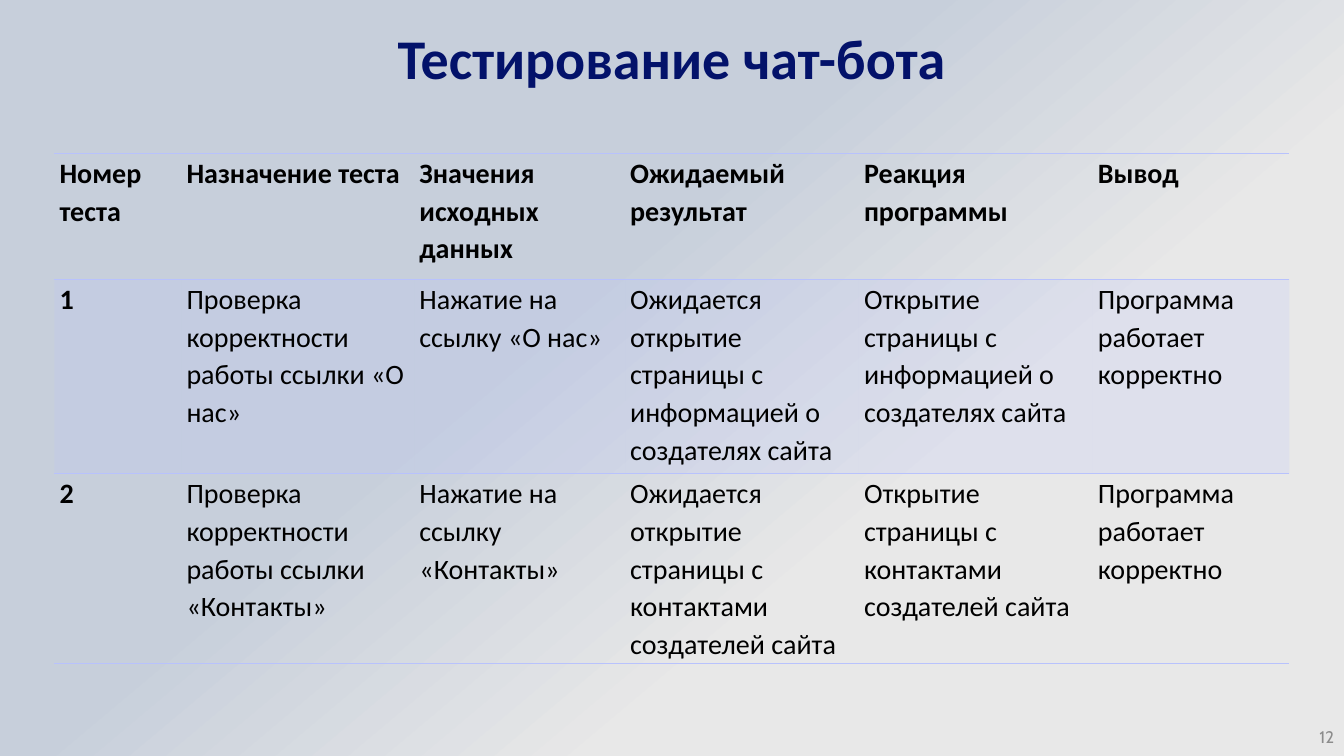
import pptx
import pptx.dml.color
import pptx.enum.text
import pptx.oxml.ns
import pptx.util
from dataclasses import dataclass
from lxml import etree

Inches, Pt = pptx.util.Inches, pptx.util.Pt
ALIGN = pptx.enum.text.PP_ALIGN
ANCHOR = pptx.enum.text.MSO_ANCHOR
qn = pptx.oxml.ns.qn


@dataclass
class Theme:
    text: str = "Calibri"
    small: str = "Cabin"
    navy: str = "03126A"
    black: str = "000000"
    gray: str = "8C8C8C"
    line: str = "B8C2FD"
    light: str = "E8E8E8"
    blue: str = "C7CFDB"
    title: int = 40
    body: int = 20
    note: int = 12


theme = Theme()


def style(para, face, size, color, bold=False):
    font = para.font
    font.name, font.size, font.bold = face, Pt(size), bold
    font.color.rgb = pptx.dml.color.RGBColor.from_string(color)


def border(cell, side):
    """Draw a 1 pt line on one side of a cell: "T" or "B"."""
    edge = etree.SubElement(cell._tc.get_or_add_tcPr(), qn("a:ln" + side), w="12700")
    fill = etree.SubElement(edge, qn("a:solidFill"))
    etree.SubElement(fill, qn("a:srgbClr"), val=theme.line)


deck = pptx.Presentation()
deck.slide_width, deck.slide_height = Inches(13.33), Inches(7.5)
slide = deck.slides.add_slide(deck.slide_layouts[5])

# Background
back = slide.background.fill
back.gradient()
back.gradient_angle = 130
stops = [(0.33, theme.light), (0.59, theme.blue)]
for stop, (place, color) in zip(back.gradient_stops, stops):
    stop.position = place
    stop.color.rgb = pptx.dml.color.RGBColor.from_string(color)

# Title
title = slide.shapes.title
title.left, title.top = Inches(0.67), Inches(0.28)
title.width, title.height = Inches(11.98), Inches(0.68)
frame = title.text_frame
frame.text = "Тестирование чат-бота"
frame.vertical_anchor = ANCHOR.BOTTOM
para = frame.paragraphs[0]
para.alignment, para.line_spacing = ALIGN.CENTER, 0.9
style(para, theme.text, theme.title, theme.navy, True)

# Page number
page = slide.shapes.add_textbox(Inches(10.33), Inches(7.18), Inches(3), Inches(0.25))
frame = page.text_frame
frame.text = "12"
frame.word_wrap = True
frame.vertical_anchor = ANCHOR.MIDDLE
para = frame.paragraphs[0]
para.alignment = ALIGN.RIGHT
style(para, theme.small, theme.note, theme.gray)

# Test table
tests = [
    ["Номер теста", "Назначение теста", "Значения исходных данных",
     "Ожидаемый результат", "Реакция программы", "Вывод"],
    ["1", "Проверка корректности работы ссылки «О нас»",
     "Нажатие на ссылку «О нас»",
     "Ожидается открытие страницы с информацией о создателях сайта",
     "Открытие страницы с информацией о создателях сайта",
     "Программа работает корректно"],
    ["2", "Проверка корректности работы ссылки «Контакты»",
     "Нажатие на ссылку «Контакты»",
     "Ожидается открытие страницы с контактами создателей сайта",
     "Открытие страницы с контактами создателей сайта",
     "Программа работает корректно"],
]
widths = [1.26, 2.31, 2.09, 2.32, 2.32, 1.95]
heights = [1.25, 1.93, 1.88]
table = slide.shapes.add_table(len(heights), len(widths), Inches(0.54), Inches(1.52),
                               Inches(12.24), Inches(5.05)).table
table.first_row = table.horz_banding = False
# Built-in style "No Style, No Grid"
table._tbl.tblPr.find(qn("a:tableStyleId")).text = "{2D5ABB26-0587-4C30-8999-92F81FD0307C}"
for col, width in zip(table.columns, widths):
    col.width = Inches(width)
for row, height in zip(table.rows, heights):
    row.height = Inches(height)

for r, test in enumerate(tests):
    for c, text in enumerate(test):
        cell = table.cell(r, c)
        cell.text = text
        cell.margin_left = cell.margin_right = Inches(0.05)
        cell.margin_top = cell.margin_bottom = 0
        para = cell.text_frame.paragraphs[0]
        para.line_spacing = 1.1
        style(para, theme.text, theme.body, theme.black, r == 0 or c == 0)
        sides = ["TB", "T", "B"][r]
        for side in sides:
            border(cell, side)
        if r == 1:
            cell.fill.solid()
            cell.fill.fore_color.rgb = pptx.dml.color.RGBColor.from_string(theme.line)
            tint = cell._tc.tcPr.find(qn("a:solidFill")).find(qn("a:srgbClr"))
            etree.SubElement(tint, qn("a:alpha"), val="20000")
        else:
            cell.fill.background()

deck.save("out.pptx")
